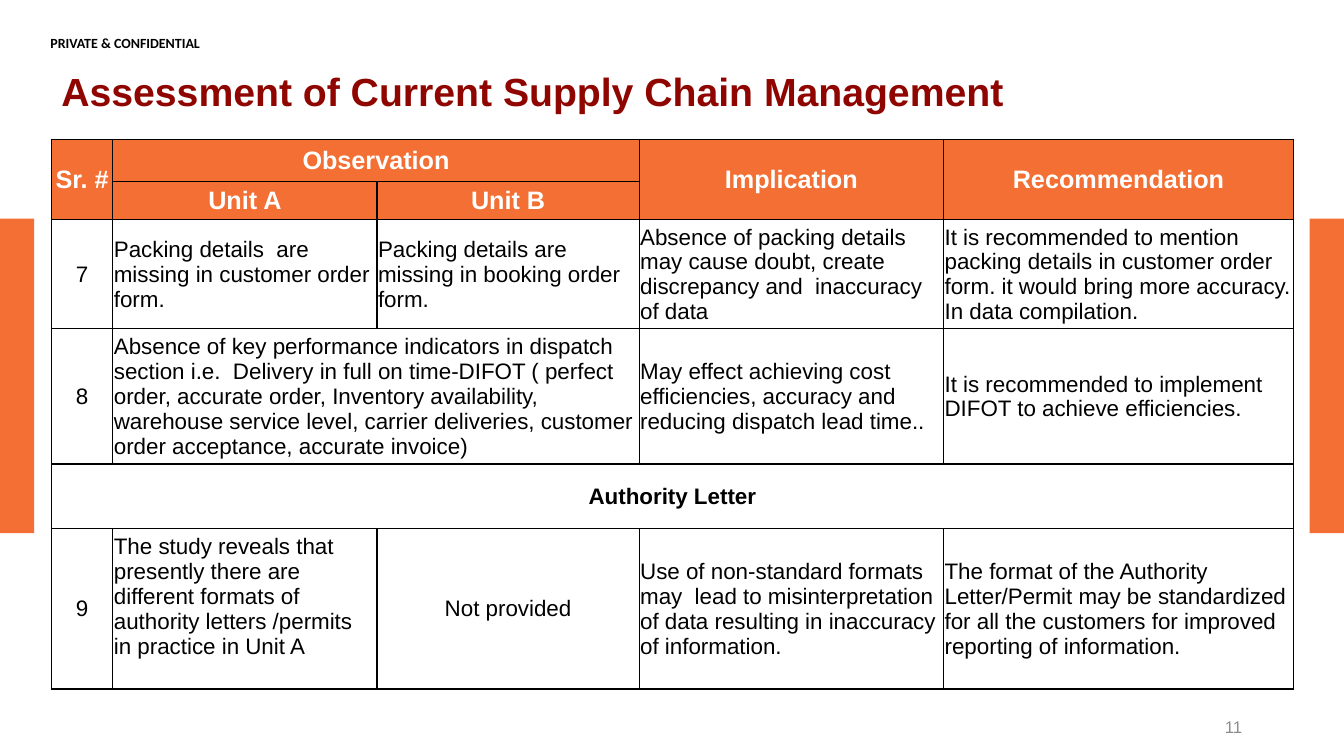
"""Build the supply chain assessment slide with its observation table."""
from lxml.etree import SubElement
from pptx import Presentation
from pptx.dml.color import RGBColor
from pptx.enum.shapes import MSO_SHAPE
from pptx.enum.text import MSO_ANCHOR, PP_ALIGN
from pptx.oxml.ns import qn
from pptx.util import Inches, Pt

COLORS = {"orange": "F46F33", "header": "F36F33", "title": "8F0500",
          "black": "000000", "white": "FFFFFF", "gray": "8C8C8C"}

SIDE_BARS = [0, 12.99]
TEXTS = [
    ("PRIVATE & CONFIDENTIAL", (0.5, 0.34, 2.53, 0.2), (0, 0), MSO_ANCHOR.TOP,
     {"alignment": PP_ALIGN.LEFT},
     {"name": "Calibri", "size": Pt(10), "bold": True}, "black"),
    ("Assessment of Current Supply Chain Management", (0.51, 0.58, 10.86, 0.71),
     (0.1, 0.05), MSO_ANCHOR.MIDDLE,
     {"alignment": PP_ALIGN.LEFT, "line_spacing": 0.9},
     {"name": "Arial", "size": Pt(28), "bold": True}, "title"),
    ("11", (9.42, 7.01, 3, 0.4), (0.1, 0.05), MSO_ANCHOR.MIDDLE,
     {"alignment": PP_ALIGN.RIGHT},
     {"name": "Arial", "size": Pt(12), "bold": False}, "gray"),
]

TABLE_AT = (0.51, 1.38)
COLUMN_WIDTHS = [0.61, 2.62, 2.6, 3.02, 3.47]
ROW_HEIGHTS = [0.42, 0.38, 1.08, 1.24, 0.64, 1.48]
HEADER_ROWS = 2
SECTION_ROW = 4
CENTERED_TEXTS = {"Not provided"}
MERGES = [((0, 0), (1, 0)), ((0, 1), (0, 2)), ((0, 3), (1, 3)),
          ((0, 4), (1, 4)), ((3, 1), (3, 2)), ((4, 0), (4, 4))]
ROWS = [
    ["Sr. #", "Observation", "", "Implication", "Recommendation"],
    ["", "Unit A", "Unit B", "", ""],
    ["7",
     "Packing details  are missing in customer order form.",
     "Packing details are missing in booking order form.",
     "Absence of packing details may cause doubt, create discrepancy and  "
     "inaccuracy of data",
     "It is recommended to mention packing details in customer order form. "
     "it would bring more accuracy. In data compilation."],
    ["8",
     "Absence of key performance indicators in dispatch section i.e.  Delivery "
     "in full on time-DIFOT ( perfect order, accurate order, Inventory "
     "availability, warehouse service level, carrier deliveries, customer "
     "order acceptance, accurate invoice)",
     "",
     "May effect achieving cost efficiencies, accuracy and reducing dispatch "
     "lead time..",
     "It is recommended to implement DIFOT to achieve efficiencies."],
    ["Authority Letter", "", "", "", ""],
    ["9",
     "The study reveals that presently there are different formats of "
     "authority letters /permits  in practice in Unit A",
     "Not provided",
     "Use of non-standard formats may  lead to misinterpretation of data "
     "resulting in inaccuracy of information.",
     "The format of the Authority Letter/Permit may be standardized for all "
     "the customers for improved reporting of information."],
]
RAISED_CELL = (5, 1)


def color(name):
    return RGBColor.from_string(COLORS[name])


def apply(target, values):
    for name, value in values.items():
        setattr(target, name, value)


def style_paragraph(paragraph, layout, font, color_name):
    apply(paragraph, layout)
    apply(paragraph.font, font)
    paragraph.font.color.rgb = color(color_name)


def add_side_bar(slide, left):
    bar = slide.shapes.add_shape(MSO_SHAPE.RECTANGLE, Inches(left), Inches(2.17),
                                 Inches(0.34), Inches(3.12))
    bar.shadow.inherit = False
    bar.fill.solid()
    bar.fill.fore_color.rgb = color("orange")
    bar.line.fill.background()


def add_text(slide, text, box, insets, anchor, layout, font, color_name):
    frame = slide.shapes.add_textbox(*map(Inches, box)).text_frame
    across, down = map(Inches, insets)
    apply(frame, {"word_wrap": True, "vertical_anchor": anchor, "text": text,
                  "margin_left": across, "margin_right": across,
                  "margin_top": down, "margin_bottom": down})
    style_paragraph(frame.paragraphs[0], layout, font, color_name)


def add_borders(cell):
    properties = cell._tc.get_or_add_tcPr()
    for side in ("a:lnL", "a:lnR", "a:lnT", "a:lnB"):
        line = SubElement(properties, qn(side), w=str(Pt(1)))
        fill = SubElement(line, qn("a:solidFill"))
        SubElement(fill, qn("a:srgbClr"), val=COLORS["black"])


def fill_cell(cell, row, column, text):
    header = row < HEADER_ROWS
    add_borders(cell)
    if header:
        cell.fill.solid()
        cell.fill.fore_color.rgb = color("header")
    else:
        cell.fill.background()
    bottom = 0.25 if (row, column) == RAISED_CELL else 0
    apply(cell, {"vertical_anchor": MSO_ANCHOR.MIDDLE, "text": text,
                 "margin_left": Inches(0.01), "margin_right": Inches(0.01),
                 "margin_top": Inches(0.01), "margin_bottom": Inches(bottom)})
    centered = header or column == 0 or text in CENTERED_TEXTS
    style_paragraph(cell.text_frame.paragraphs[0],
                    {"alignment": PP_ALIGN.CENTER if centered else PP_ALIGN.LEFT},
                    {"name": "Arial", "size": Pt(18 if header else 16),
                     "bold": header or row == SECTION_ROW},
                    "white" if header else "black")


def add_assessment_table(slide):
    size = (sum(COLUMN_WIDTHS), sum(ROW_HEIGHTS))
    table = slide.shapes.add_table(len(ROWS), len(COLUMN_WIDTHS),
                                   *map(Inches, TABLE_AT + size)).table
    apply(table, {"first_row": False, "horz_banding": False})
    for column, width in zip(table.columns, COLUMN_WIDTHS):
        column.width = Inches(width)
    for row, height in zip(table.rows, ROW_HEIGHTS):
        row.height = Inches(height)
    for row, texts in enumerate(ROWS):
        for column, text in enumerate(texts):
            fill_cell(table.cell(row, column), row, column, text)
    for first, last in MERGES:
        table.cell(*first).merge(table.cell(*last))


def main():
    presentation = Presentation()
    apply(presentation, {"slide_width": Inches(13.33), "slide_height": Inches(7.5)})
    slide = presentation.slides.add_slide(presentation.slide_layouts[6])
    for left in SIDE_BARS:
        add_side_bar(slide, left)
    for text in TEXTS:
        add_text(slide, *text)
    add_assessment_table(slide)
    presentation.save("out.pptx")


if __name__ == "__main__":
    main()
